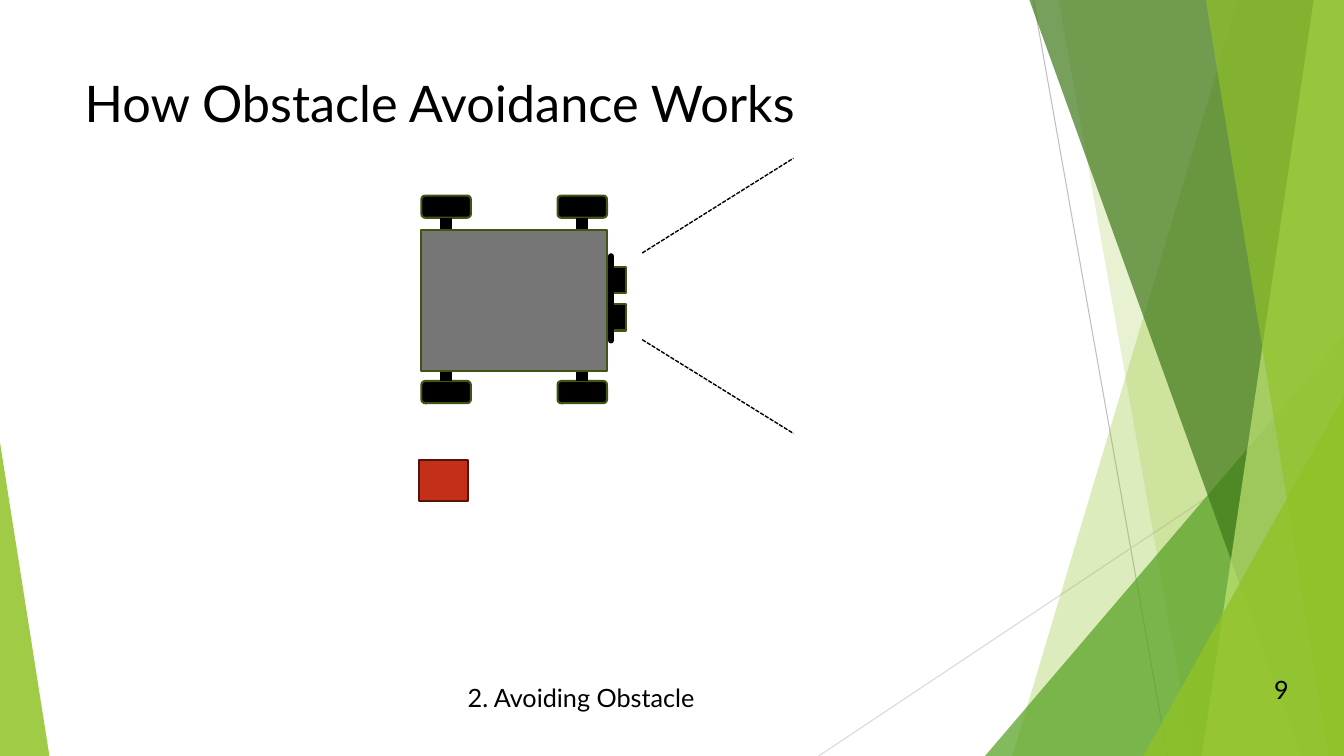
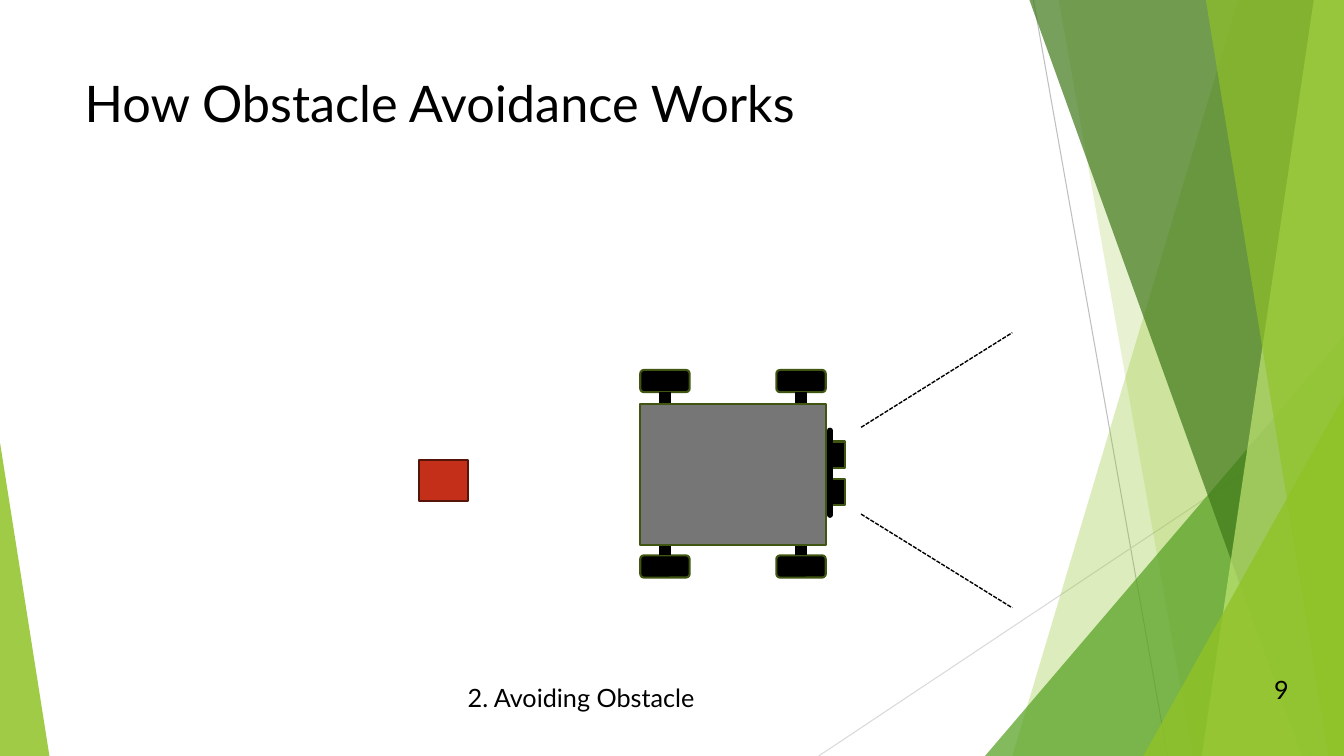
from itertools import product

from lxml.etree import SubElement
from pptx import Presentation
from pptx.dml.color import RGBColor
from pptx.enum.dml import MSO_LINE
from pptx.enum.shapes import MSO_CONNECTOR, MSO_SHAPE
from pptx.enum.text import MSO_ANCHOR, MSO_AUTO_SIZE, PP_ALIGN
from pptx.oxml.ns import qn
from pptx.util import Emu, Pt

SCALE = 9144
WIDTH, HEIGHT = 1333, 750

BLACK = "000000"
LIME = "90C226"
PALE_LIME = "C0E474"
GREEN = "54A021"
DARK_GREEN = "3F7819"
OLIVE = "3F5511"
GRAY = "767676"
RED = "C42F1A"
DARK_RED = "56150B"

BACKDROP_LINES = [
    ((1025, 0), (1158, HEIGHT), "BFBFBF"),
    ((WIDTH, 403), (812, HEIGHT), "D9D9D9"),
]
BACKDROP_PANELS = [
    ("band", (1228, WIDTH, 1004), LIME, 30),
    ("band", (1050, WIDTH, 1183), LIME, 20),
    ("corner", (977, 333, 356, 417, 1), GREEN, 72),
    ("band", (1021, WIDTH, 1291), DARK_GREEN, 70),
    ("band", (1303, WIDTH, 1192), PALE_LIME, 70),
    ("band", (1196, WIDTH, 1318), LIME, 65),
    ("corner", (1134, 393, 199, 357, 1), LIME, 80),
    ("corner", (0, 439, 49, 311, 0), LIME, 85),
]

TITLE_BOX = (74, 67, 940, 144)
FOOTER_BOX = (454, 672, 333, 40)
NUMBER_BOX = (1246, 664, 50, 40)
OBSTACLE_BOX = (416, 456, 48, 41)
ROBOT_BOXES = [(418, 228, 184, 140), (635, 401, 184, 140)]


def px(length):
    return Emu(length * SCALE)


def color(value):
    return RGBColor.from_string(value)


def apply(target, values):
    for name, value in values.items():
        setattr(target, name, value)


def place(shape, box):
    apply(shape, dict(zip(("left", "top", "width", "height"), map(px, box))))


def paint(shape, fill, outline=None, opacity=100):
    shape.shadow.inherit = False
    shape.fill.solid()
    shape.fill.fore_color.rgb = color(fill)
    if opacity < 100:
        tone = shape.element.spPr.find(".//" + qn("a:srgbClr"))
        SubElement(tone, qn("a:alpha"), val=str(opacity * 1000))
    if outline:
        shape.line.color.rgb = color(outline)
        shape.line.width = Pt(1.5)
    else:
        shape.line.fill.background()


def add_block(shapes, kind, box, fill, outline):
    block = shapes.add_shape(kind, *map(px, box))
    paint(block, fill, outline)
    return block


def add_line(shapes, start, end, tone, width, dash=None, cap="flat"):
    line = shapes.add_connector(MSO_CONNECTOR.STRAIGHT, *map(px, start + end))
    line.line.color.rgb = color(tone)
    apply(line.line, {"width": Pt(width), "dash_style": dash})
    properties = line.element.spPr
    properties.find(qn("a:ln")).set("cap", cap)
    SubElement(properties, qn("a:effectLst"))
    return line


def write(frame, text, size, align=PP_ALIGN.LEFT):
    para = frame.paragraphs[0]
    para.alignment = align
    span = para.add_run()
    span.text = text
    apply(span.font, {"name": "Lato", "size": Pt(size)})
    span.font.color.rgb = color(BLACK)


def add_label(page, box, text, align=PP_ALIGN.LEFT):
    frame = page.shapes.add_textbox(*map(px, box)).text_frame
    apply(frame, {"word_wrap": True, "auto_size": MSO_AUTO_SIZE.SHAPE_TO_FIT_TEXT})
    write(frame, text, 18, align)


def add_band(shapes, top_left, right, bottom_left):
    outline = shapes.build_freeform(px(top_left), 0)
    corners = [(right, 0), (right, HEIGHT), (bottom_left, HEIGHT)]
    outline.add_line_segments([(px(x), px(y)) for x, y in corners], close=True)
    return outline.convert_to_shape()


def add_corner(shapes, left, top, width, height, apex):
    box = map(px, (left, top, width, height))
    corner = shapes.add_shape(MSO_SHAPE.ISOSCELES_TRIANGLE, *box)
    corner.adjustments[0] = apex
    return corner


def build_backdrop(page):
    group = page.shapes.add_group_shape()
    for start, end, tone in BACKDROP_LINES:
        add_line(group.shapes, start, end, tone, 0.75)
    builders = {"band": add_band, "corner": add_corner}
    for kind, geometry, fill, opacity in BACKDROP_PANELS:
        panel = builders[kind](group.shapes, *geometry)
        paint(panel, fill, opacity=opacity)
    return group


def prepare_layout(deck):
    layout = deck.slide_layouts[5]
    for holder in list(layout.placeholders):
        if holder.placeholder_format.idx == 0:
            place(holder, TITLE_BOX)
            holder.text_frame.vertical_anchor = MSO_ANCHOR.TOP
        else:
            holder.element.getparent().remove(holder.element)
    return layout


def build_robot(page, box):
    left, top, width, height = box
    shapes = page.shapes.add_group_shape().shapes

    def at(x, y):
        return left + x, top + y

    wheel_rows = [(-34, 0, 2), (height + 10, height, 0)]
    for x, (y, edge, side) in product((0, width - 49), wheel_rows):
        wheel = add_block(shapes, MSO_SHAPE.ROUNDED_RECTANGLE,
                          at(x, y) + (49, 22), BLACK, OLIVE)
        axle = add_line(shapes, at(x + 25, y + 11), at(x + 25, edge), BLACK, 8.75)
        axle.begin_connect(wheel, side)
        axle.end_x = axle.begin_x

    add_block(shapes, MSO_SHAPE.RECTANGLE, box, GRAY, OLIVE)
    for y in (37, 74):
        add_block(shapes, MSO_SHAPE.RECTANGLE, at(188, y) + (15, 26), BLACK, OLIVE)
    add_line(shapes, at(188, 110), at(188, 26), BLACK, 4, cap="rnd")
    for near, far in ((109, 202), (23, -71)):
        add_line(shapes, at(219, near), at(369, far), BLACK, 1, MSO_LINE.SQUARE_DOT)


def build_page(page, robot_box):
    write(page.shapes.title.text_frame, "How Obstacle Avoidance Works", 36)
    add_label(page, FOOTER_BOX, "2. Avoiding Obstacle")
    add_block(page.shapes, MSO_SHAPE.RECTANGLE, OBSTACLE_BOX, RED, DARK_RED)
    build_robot(page, robot_box)
    add_label(page, NUMBER_BOX, "9", PP_ALIGN.CENTER)


def main():
    deck = Presentation()
    apply(deck, {"slide_width": px(WIDTH), "slide_height": px(HEIGHT)})
    layout = prepare_layout(deck)
    pages = [deck.slides.add_slide(layout) for _ in ROBOT_BOXES]
    layout.shapes.element.append(build_backdrop(pages[0]).element)
    for page, robot_box in zip(pages, ROBOT_BOXES):
        build_page(page, robot_box)
    deck.save("out.pptx")


if __name__ == "__main__":
    main()
